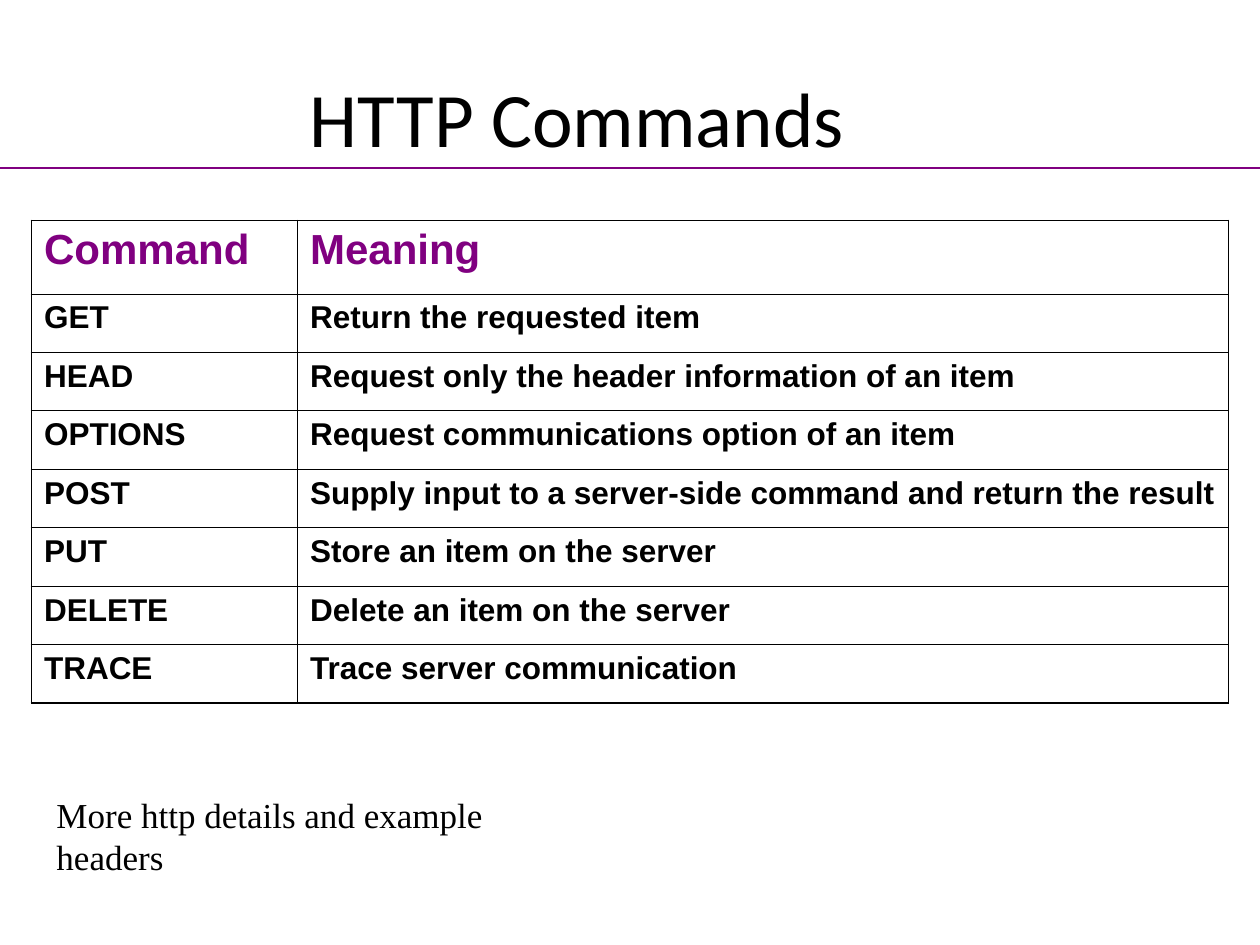
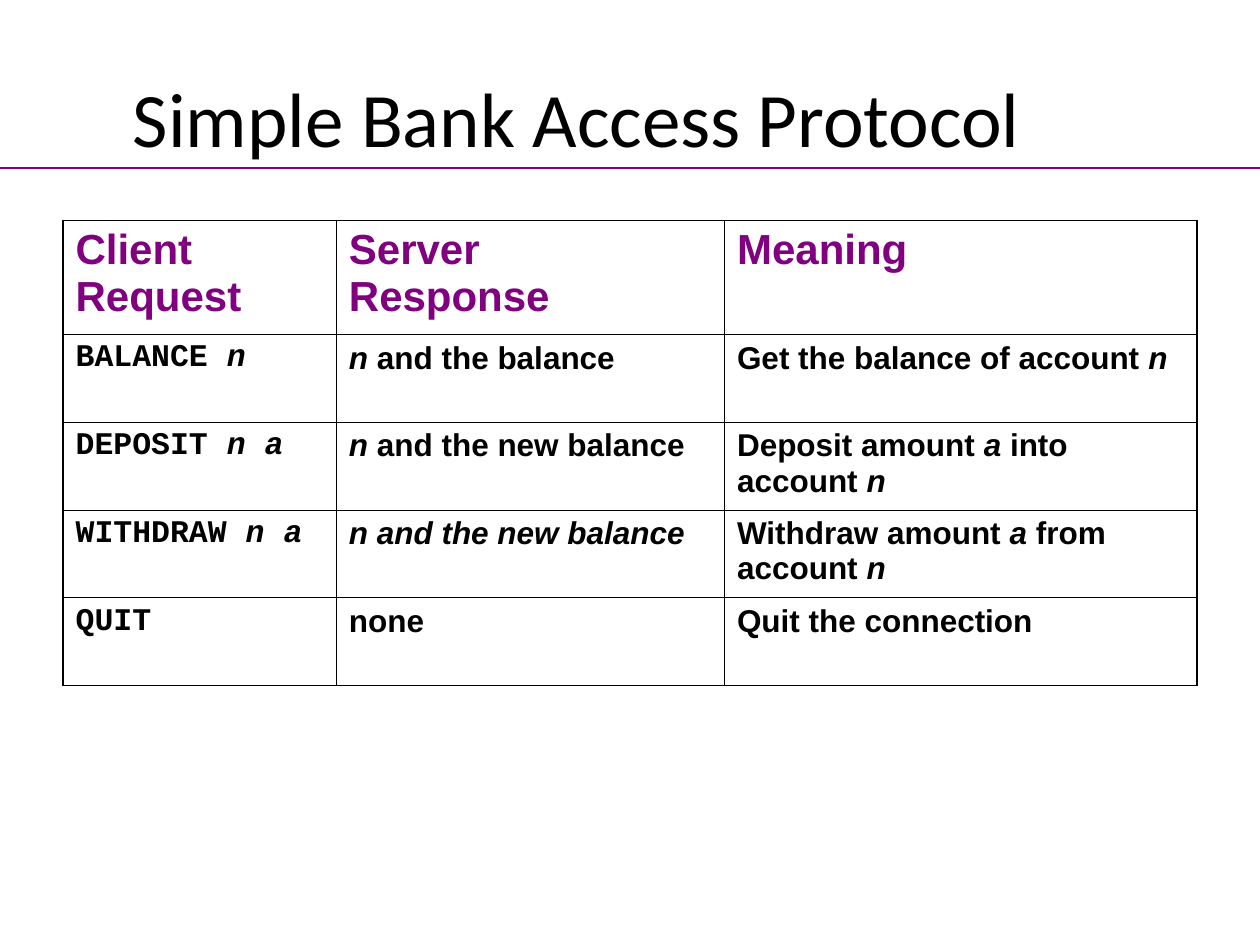
import pptx
import pptx.dml.color
import pptx.enum.shapes
import pptx.enum.text
import pptx.oxml.ns
import pptx.util
import lxml.etree

Pt = pptx.util.Pt
PURPLE = pptx.dml.color.RGBColor(0x80, 0x00, 0x80)
BLACK = pptx.dml.color.RGBColor(0x00, 0x00, 0x00)
OUTER_BORDER, INNER_BORDER = Pt(1.08), Pt(0.45)
PAGE_WIDTH, PAGE_HEIGHT = 720, 540
TABLE_TOP = 126
RULE_TOP = 96

TITLE_FONT = {"name": "Calibri", "size": Pt(44), "bold": False}
HEADER_FONT = {"name": "Arial", "size": Pt(24), "bold": True}
BODY_FONT = {"name": "Arial", "size": Pt(18), "bold": True}
CODE_FONT = {**BODY_FONT, "name": "Courier New"}
NOTE_FONT = {"name": "Times New Roman", "size": Pt(20), "bold": False}

PAGES = [
    {
        "title": "HTTP Commands",
        "left": 18,
        "columns": [152, 532],
        "header_height": 42,
        "row_height": 33.4,
        "first_column_font": BODY_FONT,
        "rows": [
            ["Command", "Meaning"],
            ["GET", "Return the requested item"],
            ["HEAD", "Request only the header information of an item"],
            ["OPTIONS", "Request communications option of an item"],
            ["POST", "Supply input to a server-side command and return the result"],
            ["PUT", "Store an item on the server"],
            ["DELETE", "Delete an item on the server"],
            ["TRACE", "Trace server communication"],
        ],
        "note": "More http details and example headers",
    },
    {
        "title": "Simple Bank Access Protocol",
        "left": 36,
        "columns": [156.2, 221.8, 270],
        "header_height": 65,
        "row_height": 50.2,
        "first_column_font": CODE_FONT,
        "rows": [
            ["Client Request", "Server \nResponse", "Meaning"],
            ["BALANCE *n*", "*n* and the balance", "Get the balance of account *n*"],
            ["DEPOSIT *n a*", "*n* and the new balance", "Deposit amount *a* into account *n*"],
            ["WITHDRAW *n a*", "*n and the new balance*", "Withdraw amount *a* from account *n*"],
            ["QUIT", "none", "Quit the connection"],
        ],
        "note": None,
    },
]


def write(para, text, font, color):
    for part_number, part in enumerate(text.split("*")):
        for line_number, line in enumerate(part.split("\n")):
            if line_number:
                para.add_line_break()
            if line:
                span = para.add_run()
                span.text = line
                for name, value in font.items():
                    setattr(span.font, name, value)
                span.font.italic = part_number % 2 == 1
                span.font.color.rgb = color


def draw_border(cell, side, width):
    qn = pptx.oxml.ns.qn
    border = lxml.etree.SubElement(cell._tc.get_or_add_tcPr(), qn(f"a:ln{side}"), w=str(width))
    fill = lxml.etree.SubElement(border, qn("a:solidFill"))
    lxml.etree.SubElement(fill, qn("a:srgbClr"), val=str(BLACK))


deck = pptx.Presentation()
deck.slide_width, deck.slide_height = Pt(PAGE_WIDTH), Pt(PAGE_HEIGHT)

for content in PAGES:
    page = deck.slides.add_slide(deck.slide_layouts[5])

    title = page.shapes.title
    for name, value in {"left": 5.8, "top": 21.6, "width": 648, "height": 90}.items():
        setattr(title, name, Pt(value))
    title.text_frame.vertical_anchor = pptx.enum.text.MSO_ANCHOR.MIDDLE
    para = title.text_frame.paragraphs[0]
    para.alignment = pptx.enum.text.PP_ALIGN.CENTER
    write(para, content["title"], TITLE_FONT, BLACK)

    rows, columns = content["rows"], content["columns"]
    last_row, last_column = len(rows) - 1, len(columns) - 1
    heights = [content["header_height"]] + [content["row_height"]] * last_row
    table = page.shapes.add_table(
        len(rows), len(columns), Pt(content["left"]), Pt(TABLE_TOP), Pt(sum(columns)), Pt(sum(heights))
    ).table
    table.first_row = table.horz_banding = False
    for column, width in zip(table.columns, columns):
        column.width = Pt(width)

    for row_number, texts in enumerate(rows):
        table.rows[row_number].height = Pt(heights[row_number])
        for column_number, text in enumerate(texts):
            cell = table.cell(row_number, column_number)
            on_edge = {
                "L": column_number == 0,
                "R": column_number == last_column,
                "T": row_number == 0,
                "B": row_number == last_row,
            }
            for side, outer in on_edge.items():
                draw_border(cell, side, OUTER_BORDER if outer else INNER_BORDER)
            cell.fill.background()
            para = cell.text_frame.paragraphs[0]
            if row_number == 0:
                para.space_before = Pt(15)
                write(para, text, HEADER_FONT, PURPLE)
            else:
                para.space_before = Pt(11.2)
                font = content["first_column_font"] if column_number == 0 else BODY_FONT
                write(para, text, font, BLACK)

    rule = page.shapes.add_connector(
        pptx.enum.shapes.MSO_CONNECTOR.STRAIGHT, Pt(0), Pt(RULE_TOP), Pt(PAGE_WIDTH), Pt(RULE_TOP)
    )
    rule.line.color.rgb = PURPLE
    rule.line.width = Pt(1.5)
    lxml.etree.SubElement(rule._element.spPr, pptx.oxml.ns.qn("a:effectLst"))

    if content["note"]:
        box = page.shapes.add_textbox(Pt(25.2), Pt(450), Pt(324), Pt(31.5))
        box.text_frame.word_wrap = False
        box.text_frame.auto_size = pptx.enum.text.MSO_AUTO_SIZE.SHAPE_TO_FIT_TEXT
        write(box.text_frame.paragraphs[0], content["note"], NOTE_FONT, BLACK)

deck.save("out.pptx")
